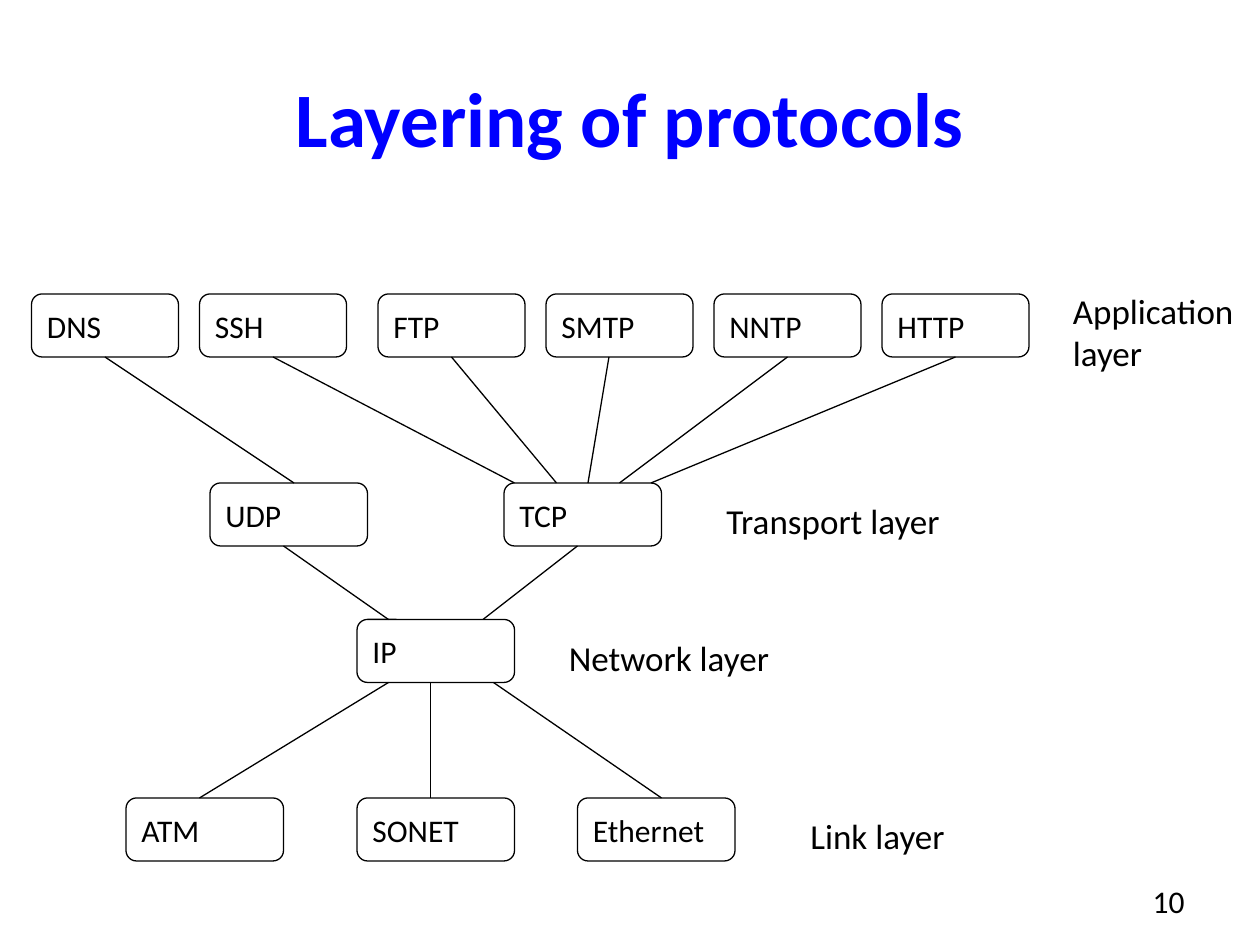
"""Build a slide showing how Internet protocols are layered."""
import pptx
import pptx.dml.color
import pptx.enum.shapes
import pptx.enum.text
import pptx.oxml
import pptx.oxml.ns
import pptx.util

BLACK = pptx.dml.color.RGBColor(0, 0, 0)
WHITE = pptx.dml.color.RGBColor(255, 255, 255)
BLUE = pptx.dml.color.RGBColor(0, 0, 255)
ALIGN = pptx.enum.text.PP_ALIGN
ANCHOR = pptx.enum.text.MSO_ANCHOR

WIDTH, HEIGHT = pptx.util.Inches(10), pptx.util.Inches(7.5)
COLUMNS, ROWS = 120, 90
BOX_ROWS = 6

TITLE = "Layering of protocols"
PAGE_NUMBER = "10"

LAYERS = [
    {"row": 28, "box_columns": 14,
     "boxes": [("DNS", 3), ("SSH", 19), ("FTP", 36), ("SMTP", 52), ("NNTP", 68), ("HTTP", 84)],
     "label": ("Application layer", 101, 27, 19, 9.24),
     "links_down": [(10, 28), (26, 49), (43, 53), (58, 56), (75, 59), (91, 62)]},
    {"row": 46, "box_columns": 15,
     "boxes": [("UDP", 20), ("TCP", 48)],
     "label": ("Transport layer", 68, 47, 31, 5.3),
     "links_down": [(27, 37), (55, 46)]},
    {"row": 59, "box_columns": 15,
     "boxes": [("IP", 34)],
     "label": ("Network layer", 53, 60, 29.6, 5.3),
     "links_down": [(37, 19), (41, 41), (47, 63)]},
    {"row": 76, "box_columns": 15,
     "boxes": [("ATM", 12), ("SONET", 34), ("Ethernet", 55)],
     "label": ("Link layer", 76, 77, 19, 5.3),
     "links_down": []},
]


def place(column, row):
    return round(WIDTH * column / COLUMNS), round(HEIGHT * row / ROWS)


def write(shape, text, size, color=BLACK, bold=False, align=ALIGN.LEFT, anchor=ANCHOR.TOP, wrap=True):
    frame = shape.text_frame
    frame.text = text
    frame.word_wrap = wrap
    frame.vertical_anchor = anchor
    paragraph = frame.paragraphs[0]
    paragraph.alignment = align
    font = paragraph.runs[0].font
    font.name, font.size, font.bold = "Calibri", pptx.util.Pt(size), bold
    font.color.rgb = color


def add_text(slide, text, column, row, columns, rows, size, **style):
    box = slide.shapes.add_textbox(*place(column, row), *place(columns, rows))
    write(box, text, size, **style)
    return box


def outline(shape):
    shape.line.color.rgb = BLACK
    shape.line.width = pptx.util.Pt(0.75)


def add_protocol(slide, name, column, row, columns):
    kind = pptx.enum.shapes.MSO_SHAPE.ROUNDED_RECTANGLE
    shape = slide.shapes.add_shape(kind, *place(column, row), *place(columns, BOX_ROWS))
    shape.shadow.inherit = False
    shape.fill.solid()
    shape.fill.fore_color.rgb = WHITE
    outline(shape)
    write(shape, name, 18, anchor=ANCHOR.MIDDLE, wrap=False)


def add_link(slide, start, end):
    kind = pptx.enum.shapes.MSO_CONNECTOR.STRAIGHT
    connector = slide.shapes.add_connector(kind, *place(*start), *place(*end))
    outline(connector)
    properties = connector._element.spPr
    properties.append(pptx.oxml.parse_xml(f"<a:effectLst {pptx.oxml.ns.nsdecls('a')}/>"))


def main():
    presentation = pptx.Presentation()
    presentation.slide_width, presentation.slide_height = WIDTH, HEIGHT
    slide = presentation.slides.add_slide(presentation.slide_layouts[6])

    add_text(slide, TITLE, 6, 3.6, 108, 15, 44, color=BLUE, bold=True,
             align=ALIGN.CENTER, anchor=ANCHOR.MIDDLE)
    for layer in LAYERS:
        for name, column in layer["boxes"]:
            add_protocol(slide, name, column, layer["row"], layer["box_columns"])
        label = add_text(slide, *layer["label"], 20)
        label.text_frame.auto_size = pptx.enum.text.MSO_AUTO_SIZE.SHAPE_TO_FIT_TEXT
    for upper, lower in zip(LAYERS, LAYERS[1:]):
        for upper_column, lower_column in upper["links_down"]:
            add_link(slide, (lower_column, lower["row"]), (upper_column, upper["row"] + BOX_ROWS))
    add_text(slide, PAGE_NUMBER, 86, 83.4, 28, 4.8, 18, align=ALIGN.RIGHT)

    presentation.save("out.pptx")


if __name__ == "__main__":
    main()
